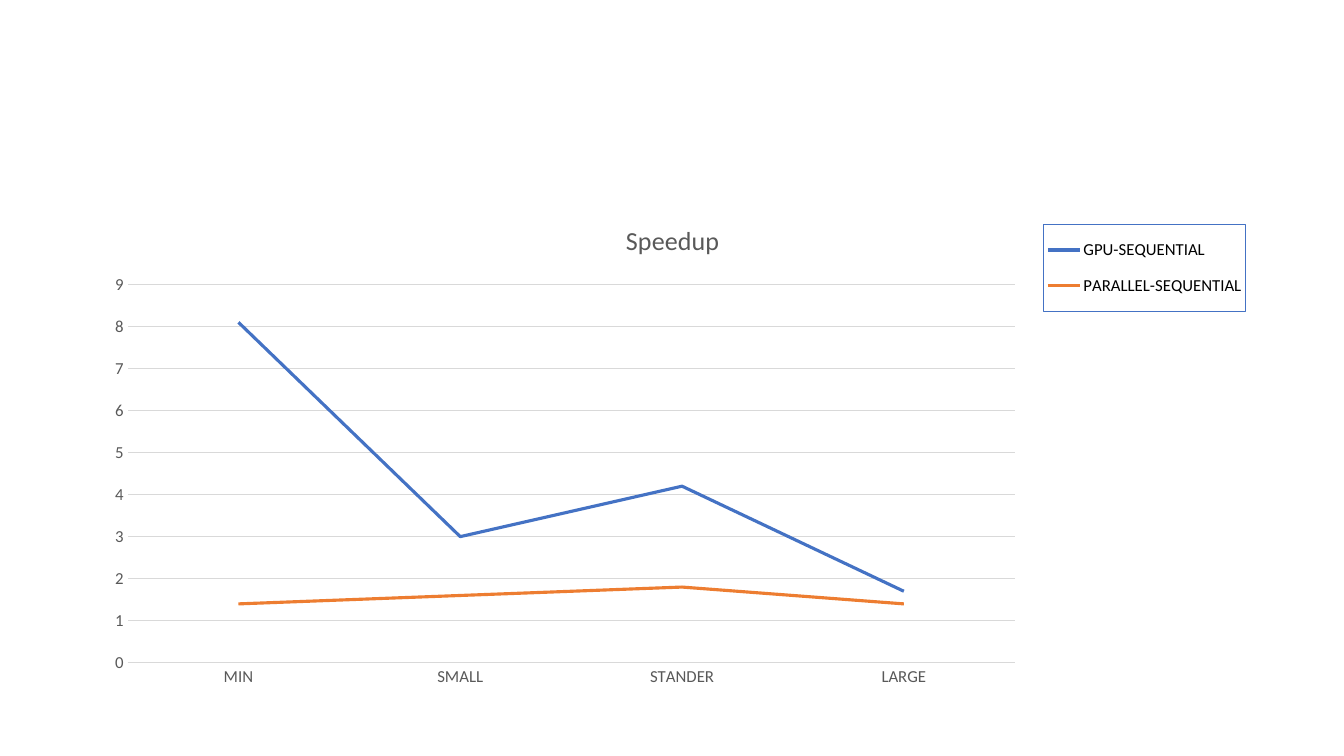
import dataclasses

import pptx
import pptx.chart.axis
import pptx.chart.data
import pptx.dml.color
import pptx.enum.chart
import pptx.oxml
import pptx.oxml.ns
import pptx.util

FONT = "Calibri"
COLOURS = {
    "gpu": "4472C4",
    "parallel": "ED7D31",
    "label": "595959",
    "legend": "000000",
    "grid": "D9D9D9",
}
SLIDE_WIDTH = pptx.util.Inches(13.33)
SLIDE_HEIGHT = pptx.util.Inches(7.5)
SIZES = ("MIN", "SMALL", "STANDER", "LARGE")


@dataclasses.dataclass(frozen=True)
class Area:
    """A rectangle in shares of what contains it."""
    x: float
    y: float
    w: float
    h: float


@dataclasses.dataclass(frozen=True)
class Speedup:
    name: str
    values: tuple[float, ...]
    colour: str


SPEEDUPS = (
    Speedup("GPU-SEQUENTIAL", (8.1, 3, 4.2, 1.7), "gpu"),
    Speedup("PARALLEL-SEQUENTIAL", (1.4, 1.6, 1.8, 1.4), "parallel"),
)
CHART_AREA = Area(0.069, 0.267, 0.863, 0.655)
PLOT_AREA = Area(0.03, 0.167, 0.765, 0.764)
LEGEND_AREA = Area(0.82, 0.045, 0.174, 0.177)


def rgb(colour: str) -> pptx.dml.color.RGBColor:
    return pptx.dml.color.RGBColor.from_string(COLOURS[colour])


def style_font(font, size: float, colour: str) -> None:
    font.name = FONT
    font.size = pptx.util.Pt(size)
    font.bold = False
    font.color.rgb = rgb(colour)


def style_line(line, width: float, colour: str) -> None:
    line.width = pptx.util.Pt(width)
    line.color.rgb = rgb(colour)


def place(part, index: int, area: Area, target: str = "") -> None:
    """Give a chart part a manual layout as its child number index."""
    for layout in part.findall(pptx.oxml.ns.qn("c:layout")):
        part.remove(layout)
    lengths = "".join(
        f'<c:{key} val="{share}"/>' for key, share in dataclasses.asdict(area).items()
    )
    part.insert(index, pptx.oxml.parse_xml(
        f'<c:layout {pptx.oxml.ns.nsdecls("c")}><c:manualLayout>{target}'
        f'<c:xMode val="edge"/><c:yMode val="edge"/>{lengths}'
        '</c:manualLayout></c:layout>'
    ))


def style_axis(axis: pptx.chart.axis._BaseAxis) -> None:
    axis.major_tick_mark = pptx.enum.chart.XL_TICK_MARK.NONE
    axis.minor_tick_mark = pptx.enum.chart.XL_TICK_MARK.NONE
    style_font(axis.tick_labels.font, 12, "label")


def add_legend(chart) -> None:
    chart.has_legend = True
    legend = chart.legend
    legend.position = pptx.enum.chart.XL_LEGEND_POSITION.CORNER
    legend.include_in_layout = False
    style_font(legend.font, 12, "legend")
    box = legend._element
    place(box, 1, LEGEND_AREA)
    # Thin frame around the legend
    box.find(pptx.oxml.ns.qn("c:overlay")).addnext(pptx.oxml.parse_xml(
        f'<c:spPr {pptx.oxml.ns.nsdecls("c", "a")}><a:ln w="9525"><a:solidFill>'
        f'<a:srgbClr val="{COLOURS["gpu"]}"/></a:solidFill></a:ln></c:spPr>'
    ))


def add_speedup_chart(slide) -> None:
    data = pptx.chart.data.CategoryChartData()
    data.categories = SIZES
    for speedup in SPEEDUPS:
        data.add_series(speedup.name, speedup.values)
    chart = slide.shapes.add_chart(
        pptx.enum.chart.XL_CHART_TYPE.LINE,
        int(SLIDE_WIDTH * CHART_AREA.x), int(SLIDE_HEIGHT * CHART_AREA.y),
        int(SLIDE_WIDTH * CHART_AREA.w), int(SLIDE_HEIGHT * CHART_AREA.h), data,
    ).chart
    style_font(chart.font, 10, "legend")

    # Heading
    chart.has_title = True
    heading = chart.chart_title.text_frame.paragraphs[0].add_run()
    heading.text = "Speedup"
    style_font(heading.font, 18.6, "label")

    # Axes and gridlines
    style_axis(chart.category_axis)
    style_line(chart.category_axis.format.line, 0.75, "grid")
    factors = chart.value_axis
    style_axis(factors)
    factors.minimum_scale, factors.maximum_scale, factors.major_unit = 0, 9, 1
    factors.format.line.fill.background()
    style_line(factors.major_gridlines.format.line, 0.75, "grid")

    # Lines
    plot = chart.plots[0]
    plot.vary_by_categories = False
    for series, speedup in zip(plot.series, SPEEDUPS):
        series.smooth = False
        series.marker.style = pptx.enum.chart.XL_MARKER_STYLE.NONE
        style_line(series.format.line, 2.25, speedup.colour)

    # Legend and plot position
    add_legend(chart)
    plot_area = chart._chartSpace.find(".//" + pptx.oxml.ns.qn("c:plotArea"))
    place(plot_area, 0, PLOT_AREA, '<c:layoutTarget val="inner"/>')


def main() -> None:
    deck = pptx.Presentation()
    deck.slide_width, deck.slide_height = SLIDE_WIDTH, SLIDE_HEIGHT
    slide = deck.slides.add_slide(deck.slide_layouts[6])
    add_speedup_chart(slide)
    deck.save("out.pptx")


if __name__ == "__main__":
    main()
